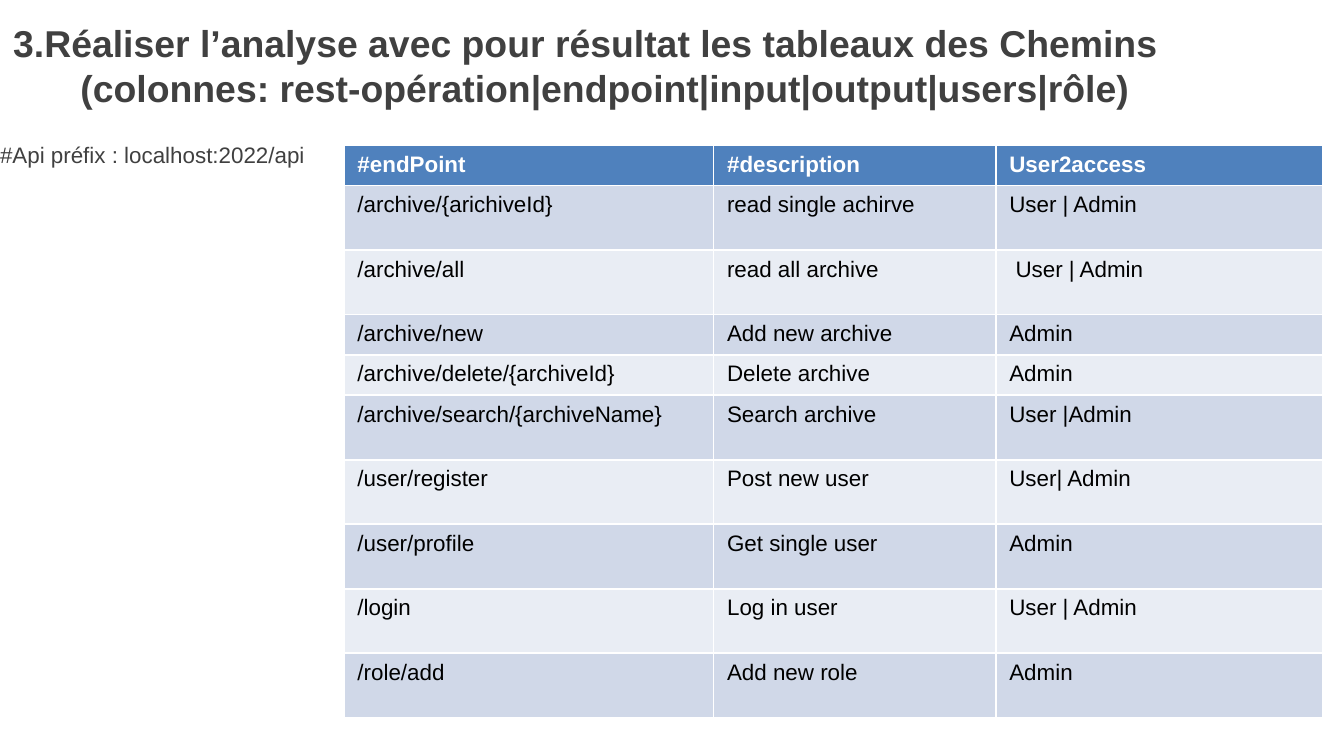
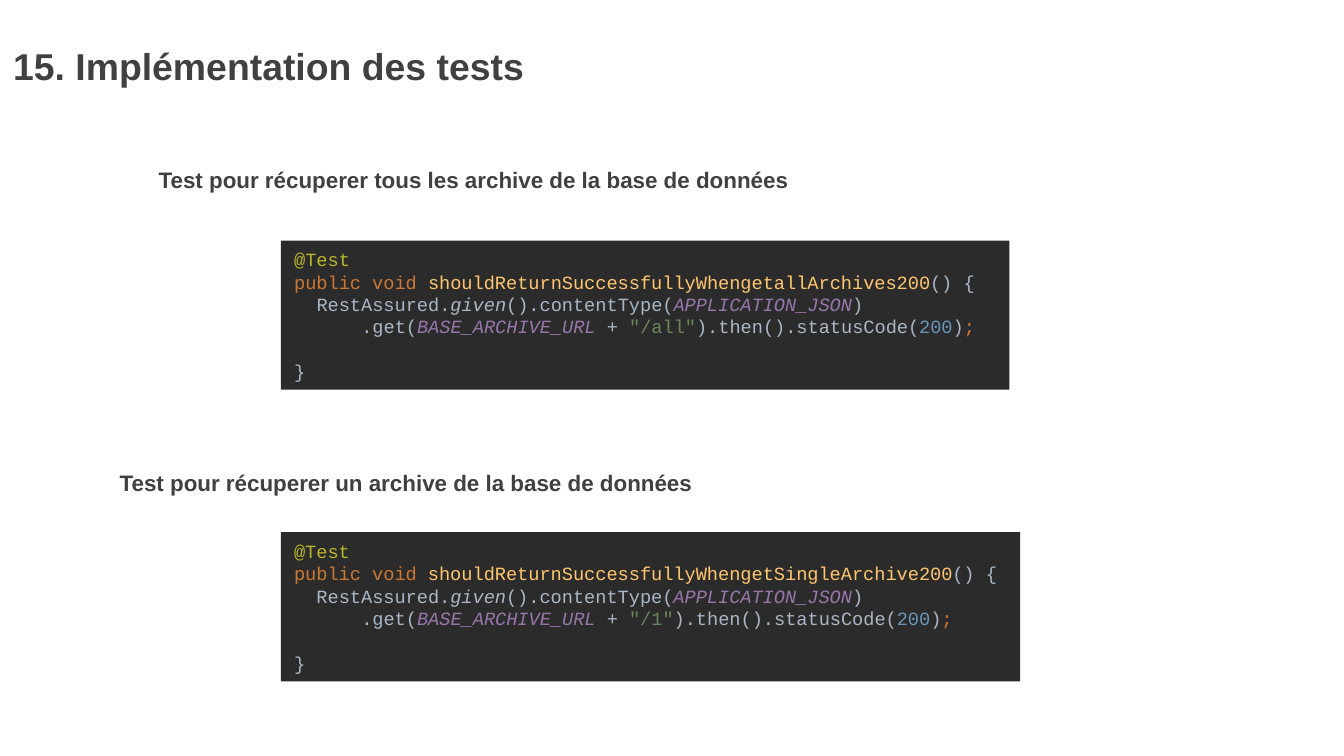
import pptx
import pptx.util
import pptx.dml.color
import pptx.enum.shapes
import pptx.enum.text

Inches = pptx.util.Inches
Pt = pptx.util.Pt
RGBColor = pptx.dml.color.RGBColor
Anchor = pptx.enum.text.MSO_ANCHOR
Align = pptx.enum.text.PP_ALIGN

WHITE = RGBColor(0xFF, 0xFF, 0xFF)
BLACK = RGBColor(0, 0, 0)
GREY = RGBColor(0x40, 0x40, 0x40)
BLUE = RGBColor(0x4F, 0x81, 0xBD)
BANDS = (RGBColor(0xD0, 0xD8, 0xE8), RGBColor(0xE9, 0xED, 0xF4))
DARK = RGBColor(0x2B, 0x2B, 0x2B)
OLIVE = RGBColor(0xBB, 0xB5, 0x29)
ORANGE = RGBColor(0xCC, 0x78, 0x32)
GOLD = RGBColor(0xFF, 0xC6, 0x6D)
PALE = RGBColor(0xA9, 0xB7, 0xC6)
PURPLE = RGBColor(0x98, 0x76, 0xAA)
GREEN = RGBColor(0x6A, 0x87, 0x59)
AZURE = RGBColor(0x68, 0x97, 0xBB)

TITLE = {"name": "Arial", "size": Pt(20), "bold": True}
BODY = {"name": "Arial", "size": Pt(12), "bold": False}
HEAD = BODY | {"bold": True}
CODE = {"name": "Courier New", "size": Pt(10), "bold": False}

ROWS = [
    ("#endPoint", "#description", "User2access"),
    ("/archive/{arichiveId}", "read single achirve", "User | Admin"),
    ("/archive/all", "read all archive", " User | Admin"),
    ("/archive/new", "Add new archive", "Admin"),
    ("/archive/delete/{archiveId}", "Delete archive", "Admin"),
    ("/archive/search/{archiveName}", "Search archive", "User |Admin"),
    ("/user/register", "Post new user", "User| Admin"),
    ("/user/profile", "Get single user", "Admin"),
    ("/login", "Log in user", "User | Admin"),
    ("/role/add", "Add new role", "Admin"),
]
WIDTHS = (2.75, 2.1, 2.43)
SHORT_ROWS = (0, 3, 4)

TESTS = [
    ("Test pour récuperer tous les archive de la base de données",
     (0.75, 1.19, 8.99, 0.29), (2.09, 1.79, 5.42, 1.11),
     "shouldReturnSuccessfullyWhengetallArchives200", '"/all"'),
    ("Test pour récuperer un archive de la base de données",
     (0.46, 3.44, 8.99, 0.29), (2.09, 3.96, 5.5, 1.11),
     "shouldReturnSuccessfullyWhengetSingleArchive200", '"/1"'),
]


def apply(item, form):
    for key, value in form.items():
        setattr(item, key, value)


def add_run(para, text, form, color):
    run = para.add_run()
    run.text = text
    apply(run.font, form)
    run.font.color.rgb = color


def add_text(slide, box, lines, form, frame_form, before=0):
    frame = slide.shapes.add_textbox(*map(Inches, box)).text_frame
    apply(frame, {"word_wrap": True} | frame_form)
    para = frame.paragraphs[0]
    para.space_before = Pt(before)
    for index, text in enumerate(lines):
        if index:
            para.add_line_break()
        add_run(para, text, form, GREY)


def add_title(slide, *lines):
    add_text(slide, (0, 0, 10, 0.97), lines, TITLE,
             {"vertical_anchor": Anchor.MIDDLE})


def add_label(slide, box, text, form):
    add_text(slide, box, [text], form, {"margin_left": Inches(0.43)}, 2.4)


def fill_cell(cell, text, row):
    cell.fill.solid()
    cell.fill.fore_color.rgb = BANDS[(row - 1) % 2] if row else BLUE
    add_run(cell.text_frame.paragraphs[0], text,
            BODY if row else HEAD, BLACK if row else WHITE)


def add_grid(slide, left, top):
    heights = [0.29 if row in SHORT_ROWS else 0.48 for row in range(len(ROWS))]
    box = (left, top, sum(WIDTHS), sum(heights))
    table = slide.shapes.add_table(len(ROWS), len(WIDTHS), *map(Inches, box)).table
    for column, width in zip(table.columns, WIDTHS):
        column.width = Inches(width)
    for row, texts in enumerate(ROWS):
        table.rows[row].height = Inches(heights[row])
        for col, text in enumerate(texts):
            fill_cell(table.cell(row, col), text, row)


def code_lines(method, route):
    return [
        (0, 0, [("@Test", OLIVE)]),
        (0, 0, [("public void ", ORANGE), (method, GOLD), ("() {", PALE)]),
        (2, 0, [("RestAssured.", PALE), ("given", PALE, True),
                ("().contentType(", PALE), ("APPLICATION_JSON", PURPLE, True),
                (")", PALE)]),
        (6, 0, [(".get(", PALE), ("BASE_ARCHIVE_URL ", PURPLE, True),
                ("+ ", PALE), (route, GREEN), (").then().statusCode(", PALE),
                ("200", AZURE), (")", PALE), (";", ORANGE)]),
        (0, 12, [("}", PALE)]),
    ]


def add_code(slide, box, method, route):
    shape = slide.shapes.add_shape(
        pptx.enum.shapes.MSO_SHAPE.RECTANGLE, *map(Inches, box))
    shape.shadow.inherit = False
    shape.fill.solid()
    shape.fill.fore_color.rgb = DARK
    shape.line.fill.background()
    frame = shape.text_frame
    apply(frame, {"word_wrap": False, "vertical_anchor": Anchor.MIDDLE})
    for index, (chars, before, parts) in enumerate(code_lines(method, route)):
        para = frame.add_paragraph() if index else frame.paragraphs[0]
        apply(para, {"alignment": Align.LEFT, "line_spacing": Pt(12),
                     "space_before": Pt(before)})
        para._p.get_or_add_pPr().set("marL", str(Inches(chars / 12)))
        for text, color, *slant in parts:
            add_run(para, text, CODE | {"italic": bool(slant)}, color)


def paths_slide(slide):
    add_title(
        slide,
        "3.Réaliser l’analyse avec pour résultat les tableaux des Chemins",
        "\t(colonnes: rest-opération|endpoint|input|output|users|rôle)")
    add_label(slide, (-0.43, 1, 9.18, 0.39),
              "#Api préfix : localhost:2022/api", BODY)
    add_grid(slide, 2.56, 1.08)


def tests_slide(slide):
    add_title(slide, "15. Implémentation des tests")
    for text, label, box, method, route in TESTS:
        add_label(slide, label, text, HEAD)
        add_code(slide, box, method, route)


def main():
    deck = pptx.Presentation()
    apply(deck, {"slide_width": Inches(10), "slide_height": Inches(10 * 9 / 16)})
    for build in (paths_slide, tests_slide):
        build(deck.slides.add_slide(deck.slide_layouts[6]))
    deck.save("out.pptx")


if __name__ == "__main__":
    main()
